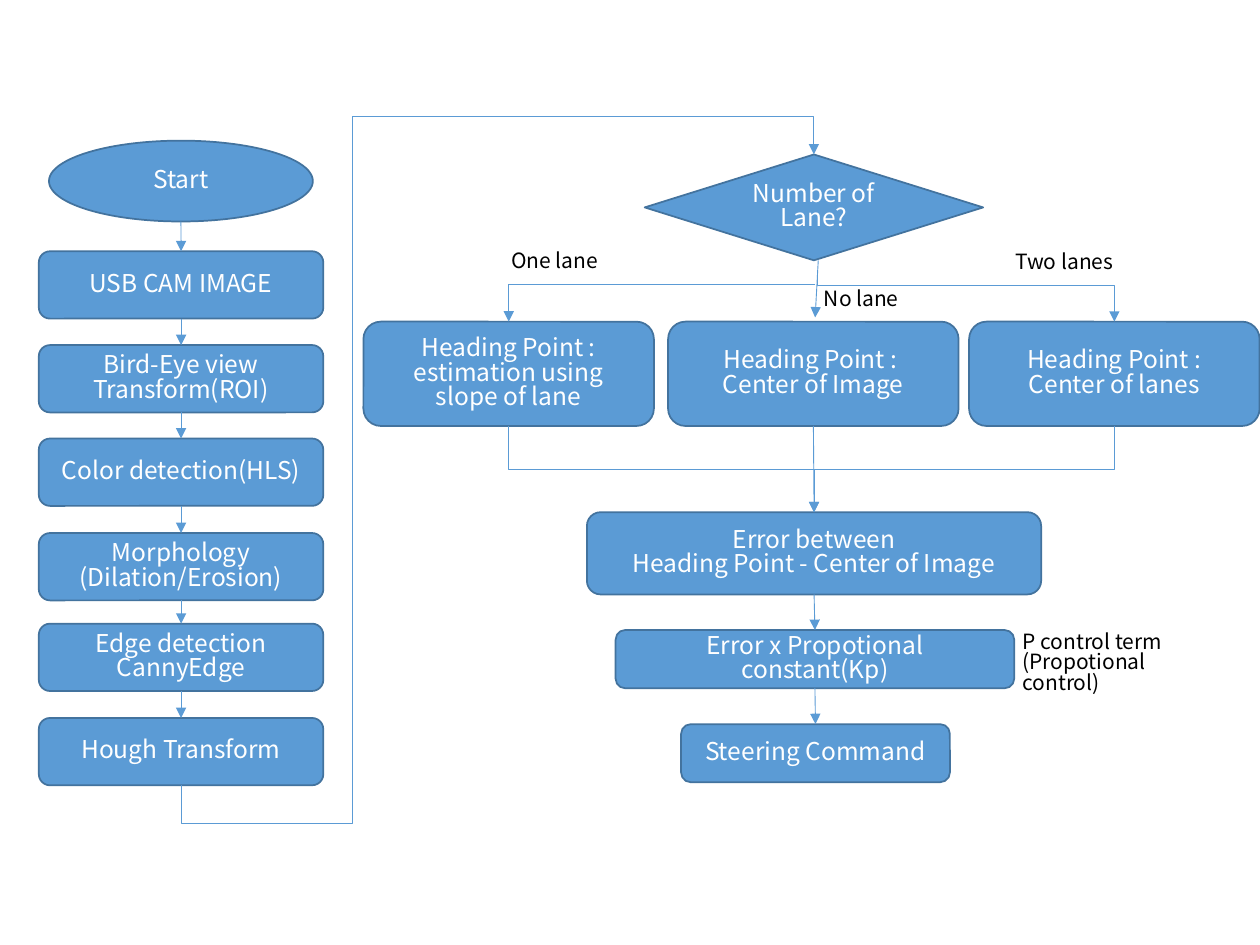
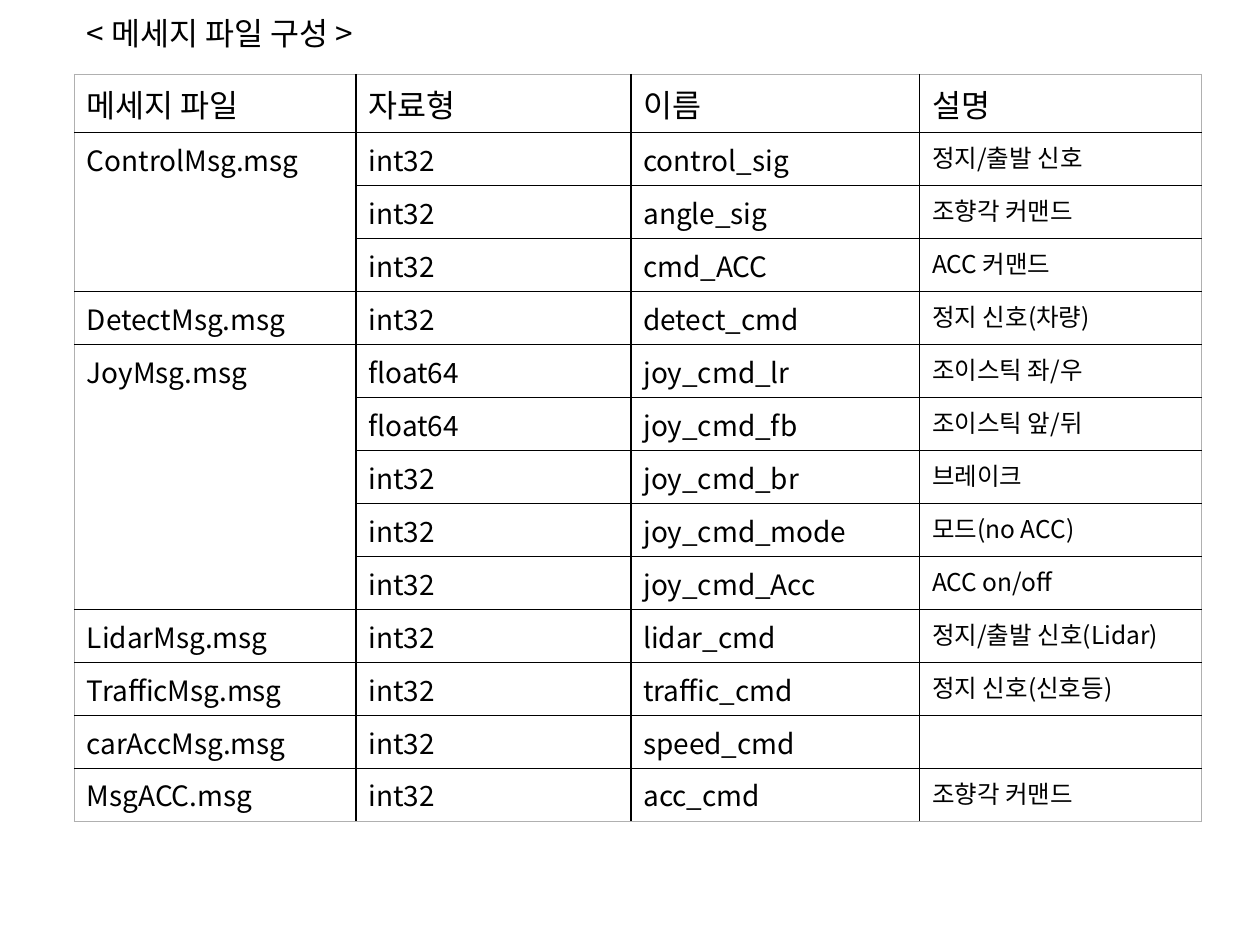
from dataclasses import dataclass
from itertools import pairwise

from lxml.etree import SubElement
from pptx import Presentation
from pptx.dml.color import RGBColor
from pptx.enum.shapes import MSO_CONNECTOR, MSO_SHAPE
from pptx.enum.text import MSO_ANCHOR, PP_ALIGN
from pptx.oxml.ns import qn
from pptx.slide import Slide
from pptx.table import _Cell
from pptx.text.text import TextFrame
from pptx.util import Pt

FONT = "Noto Sans CJK KR"
WHITE = RGBColor(0xFF, 0xFF, 0xFF)
BLACK = RGBColor(0x00, 0x00, 0x00)
GREY = RGBColor(0xB0, 0xB0, 0xB0)
BLUE = RGBColor(0x5B, 0x9B, 0xD5)
DARK_BLUE = RGBColor(0x43, 0x73, 0x9E)
TIGHT = 0.83

Point = tuple[float, float]


@dataclass(frozen=True)
class Node:
    text: str
    left: float
    top: float
    width: float
    height: float
    kind: MSO_SHAPE = MSO_SHAPE.ROUNDED_RECTANGLE

    @property
    def top_point(self) -> Point:
        return self.left + self.width / 2, self.top

    @property
    def bottom_point(self) -> Point:
        return self.left + self.width / 2, self.top + self.height


@dataclass(frozen=True)
class Label:
    text: str
    left: float
    top: float
    width: float
    height: float
    size: float = 12


@dataclass(frozen=True)
class Elbow:
    """A connector that leaves its start vertically; bends are fractions of its extent."""
    start: Point
    end: Point
    bends: tuple[float, ...] = (0.5,)


START = Node("Start", 28, 80.4, 150.8, 46.2, MSO_SHAPE.OVAL)
PIPELINE = [START] + [
    Node(text, 22.2, top, 162.6, 38.5)
    for text, top in (
        ("USB CAM IMAGE", 143.6),
        ("Bird-Eye view Transform(ROI)", 197.2),
        ("Color detection(HLS)", 250.6),
        ("Morphology (Dilation/Erosion)", 304.6),
        ("Edge detection\nCannyEdge", 356.4),
        ("Hough Transform", 410.3),
    )
]
DECISION = Node("Number of Lane?", 368.4, 88.3, 193.4, 60.5, MSO_SHAPE.DIAMOND)
BRANCHES = [
    Node(text, left, 183.8, 166, 59.6)
    for text, left in (
        ("Heading Point : estimation using slope of lane", 207.7),
        ("Heading Point : \nCenter of Image", 381.8),
        ("Heading Point :\nCenter of lanes", 553.8),
    )
]
ONE_LANE, NO_LANE, TWO_LANES = BRANCHES
ERROR = Node("Error between\nHeading Point - Center of Image", 335.4, 292.7, 259.6, 47)
CONTROL = [
    ERROR,
    Node("Error x Propotional\vconstant(Kp)", 351.8, 360, 227.8, 33.3),
    Node("Steering Command", 389.2, 413.8, 153.6, 33.2),
]
LABELS = [
    Label("One lane", 285.1, 140.4, 70.6, 21.6),
    Label("Two lanes", 573.1, 141.2, 70.6, 21.6),
    Label("No lane", 463.7, 162.2, 70.6, 21.6),
    Label("P control term\n(Propotional control)", 577.2, 357.8, 131, 36.7),
]
ELBOWS = [
    Elbow((467.3, 154), TWO_LANES.top_point, (0.3,)),
    Elbow((466, 162.3), ONE_LANE.top_point, (0,)),
    Elbow(ONE_LANE.bottom_point, ERROR.top_point),
    Elbow(TWO_LANES.bottom_point, ERROR.top_point),
    Elbow(PIPELINE[-1].bottom_point, DECISION.top_point, (-0.06, 0.27, 1.06)),
]

TITLE = Label("< 메세지 파일 구성 >", 42.5, 7.9, 443.5, 28.8, 18)
COLUMN_WIDTHS = (161, 157, 165, 161)
HEADER = ("메세지 파일", "자료형", "이름", "설명")
MESSAGES = {
    "ControlMsg.msg": [
        ("int32", "control_sig", "정지/출발 신호"),
        ("int32", "angle_sig", "조향각 커맨드"),
        ("int32", "cmd_ACC", "ACC 커맨드"),
    ],
    "DetectMsg.msg": [("int32", "detect_cmd", "정지 신호(차량)")],
    "JoyMsg.msg": [
        ("float64", "joy_cmd_lr", "조이스틱 좌/우"),
        ("float64", "joy_cmd_fb", "조이스틱 앞/뒤"),
        ("int32", "joy_cmd_br", "브레이크"),
        ("int32", "joy_cmd_mode", "모드(no ACC)"),
        ("int32", "joy_cmd_Acc", "ACC on/off"),
    ],
    "LidarMsg.msg": [("int32", "lidar_cmd", "정지/출발 신호(Lidar)")],
    "TrafficMsg.msg": [("int32", "traffic_cmd", "정지 신호(신호등)")],
    "carAccMsg.msg": [("int32", "speed_cmd", "")],
    "MsgACC.msg": [("int32", "acc_cmd", "조향각 커맨드")],
}


def write_text(frame: TextFrame, text: str, size: float, color: RGBColor,
               alignment: PP_ALIGN, line_spacing: float | None = None) -> None:
    frame.text = text
    frame.word_wrap = True
    for paragraph in frame.paragraphs:
        paragraph.alignment = alignment
        paragraph.line_spacing = line_spacing
        paragraph.font.name = FONT
        paragraph.font.size = Pt(size)
        paragraph.font.color.rgb = color
        defaults = paragraph._p.pPr.find(qn("a:defRPr"))
        SubElement(defaults, qn("a:ea"), typeface=FONT)


def add_node(slide: Slide, node: Node) -> None:
    shape = slide.shapes.add_shape(node.kind, Pt(node.left), Pt(node.top),
                                   Pt(node.width), Pt(node.height))
    shape.shadow.inherit = False
    shape.fill.solid()
    shape.fill.fore_color.rgb = BLUE
    shape.line.color.rgb = DARK_BLUE
    shape.line.width = Pt(1)
    shape.text_frame.vertical_anchor = MSO_ANCHOR.MIDDLE
    write_text(shape.text_frame, node.text, 14, WHITE, PP_ALIGN.CENTER, TIGHT)


def add_label(slide: Slide, label: Label) -> None:
    box = slide.shapes.add_textbox(Pt(label.left), Pt(label.top),
                                   Pt(label.width), Pt(label.height))
    write_text(box.text_frame, label.text, label.size, BLACK, PP_ALIGN.LEFT, TIGHT)


def add_line(slide: Slide, start: Point, end: Point, arrow: bool = True,
             kind: MSO_CONNECTOR = MSO_CONNECTOR.STRAIGHT):
    connector = slide.shapes.add_connector(kind, *map(Pt, start + end))
    connector.line.color.rgb = BLUE
    connector.line.width = Pt(0.5)
    properties = connector.element.spPr
    if arrow:
        SubElement(properties.find(qn("a:ln")), qn("a:tailEnd"), type="triangle")
    SubElement(properties, qn("a:effectLst"))
    return connector


def add_elbow(slide: Slide, elbow: Elbow) -> None:
    """Turn the preset by 90 degrees, so that its first leg runs vertically."""
    connector = add_line(slide, elbow.start, elbow.end, kind=MSO_CONNECTOR.ELBOW)
    (start_x, start_y), (end_x, end_y) = elbow.start, elbow.end
    length, breadth = abs(end_y - start_y), abs(end_x - start_x)
    connector.left = Pt((start_x + end_x - length) / 2)
    connector.top = Pt((start_y + end_y - breadth) / 2)
    connector.width, connector.height = Pt(length), Pt(breadth)

    transform = connector.element.spPr.find(qn("a:xfrm"))
    transform.set("rot", str(90 * 60000))
    transform.set("flipH", str(int(end_y < start_y)))
    transform.set("flipV", str(int(end_x > start_x)))

    geometry = connector.element.spPr.find(qn("a:prstGeom"))
    geometry.set("prst", f"bentConnector{len(elbow.bends) + 2}")
    guides = geometry.find(qn("a:avLst"))
    for number, bend in enumerate(elbow.bends, start=1):
        SubElement(guides, qn("a:gd"), name=f"adj{number}",
                   fmla=f"val {round(bend * 100000)}")


def set_borders(cell: _Cell, outer_sides: set[str]) -> None:
    """Draw the sides on the table's rim thin and grey, the others black."""
    properties = cell._tc.get_or_add_tcPr()
    for side in "LRTB":
        width, color = (Pt(0.5), GREY) if side in outer_sides else (Pt(1), BLACK)
        line = SubElement(properties, qn(f"a:ln{side}"), w=str(width))
        fill = SubElement(line, qn("a:solidFill"))
        SubElement(fill, qn("a:srgbClr"), val=str(color))


def add_message_table(slide: Slide) -> None:
    rows = [HEADER] + [(name if index == 0 else "", *field)
                       for name, fields in MESSAGES.items()
                       for index, field in enumerate(fields)]
    last_row, last_column = len(rows) - 1, len(HEADER) - 1
    table = slide.shapes.add_table(len(rows), len(HEADER), Pt(42.5), Pt(42.5),
                                   Pt(sum(COLUMN_WIDTHS)), Pt(405)).table
    table.first_row = table.horz_banding = False
    for column, width in zip(table.columns, COLUMN_WIDTHS):
        column.width = Pt(width)

    for row, texts in enumerate(rows):
        for column, text in enumerate(texts):
            cell = table.cell(row, column)
            size = 18 if row == 0 else 14 if column == last_column else 16
            write_text(cell.text_frame, text, size, BLACK, PP_ALIGN.JUSTIFY)
            rim = {"L": column == 0, "R": column == last_column,
                   "T": row == 0, "B": row == last_row}
            set_borders(cell, {side for side, outer in rim.items() if outer})
            cell.fill.background()

    first = 1
    for fields in MESSAGES.values():
        last = first + len(fields) - 1
        if last > first:
            table.cell(first, 0).merge(table.cell(last, 0))
        first = last + 1


def build_flowchart(slide: Slide) -> None:
    for node in (*PIPELINE, DECISION, *BRANCHES, *CONTROL):
        add_node(slide, node)
    for upper, lower in (*pairwise(PIPELINE), *pairwise(CONTROL)):
        add_line(slide, upper.bottom_point, lower.top_point)
    add_line(slide, (467.6, 148.8), (465.8, 181.4))
    add_line(slide, ERROR.top_point, NO_LANE.bottom_point, arrow=False)
    for elbow in ELBOWS:
        add_elbow(slide, elbow)
    for label in LABELS:
        add_label(slide, label)


def build_message_list(slide: Slide) -> None:
    add_message_table(slide)
    add_label(slide, TITLE)


def main() -> None:
    presentation = Presentation()
    presentation.slide_width, presentation.slide_height = Pt(720), Pt(540)
    blank = presentation.slide_layouts[6]
    for build in (build_flowchart, build_message_list):
        build(presentation.slides.add_slide(blank))
    presentation.save("out.pptx")


if __name__ == "__main__":
    main()
